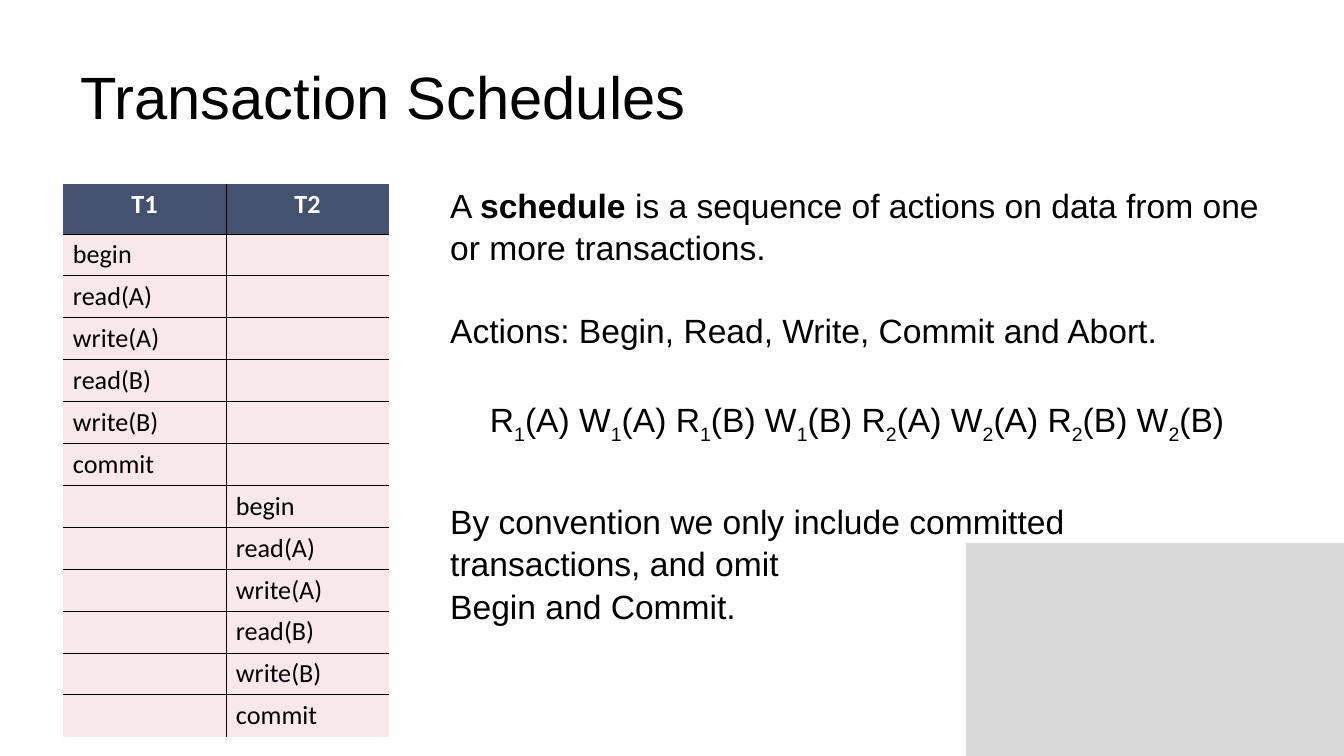
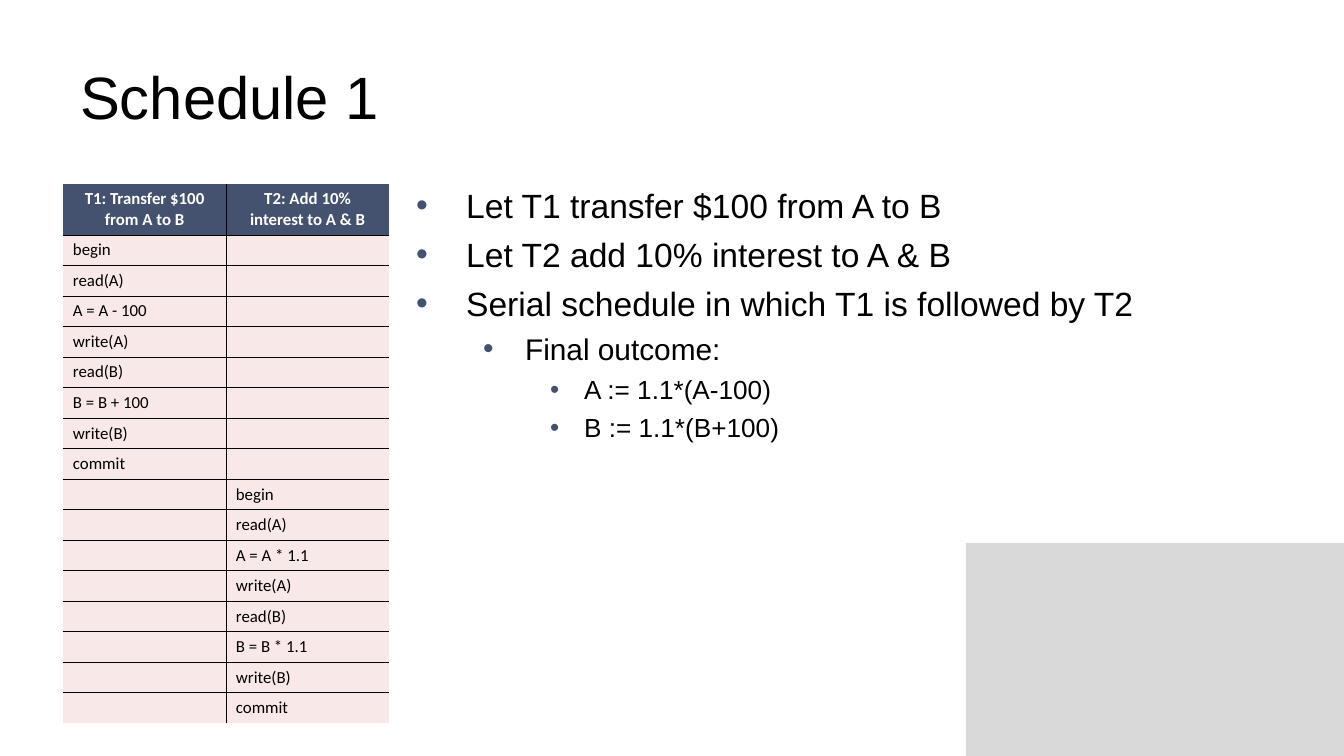
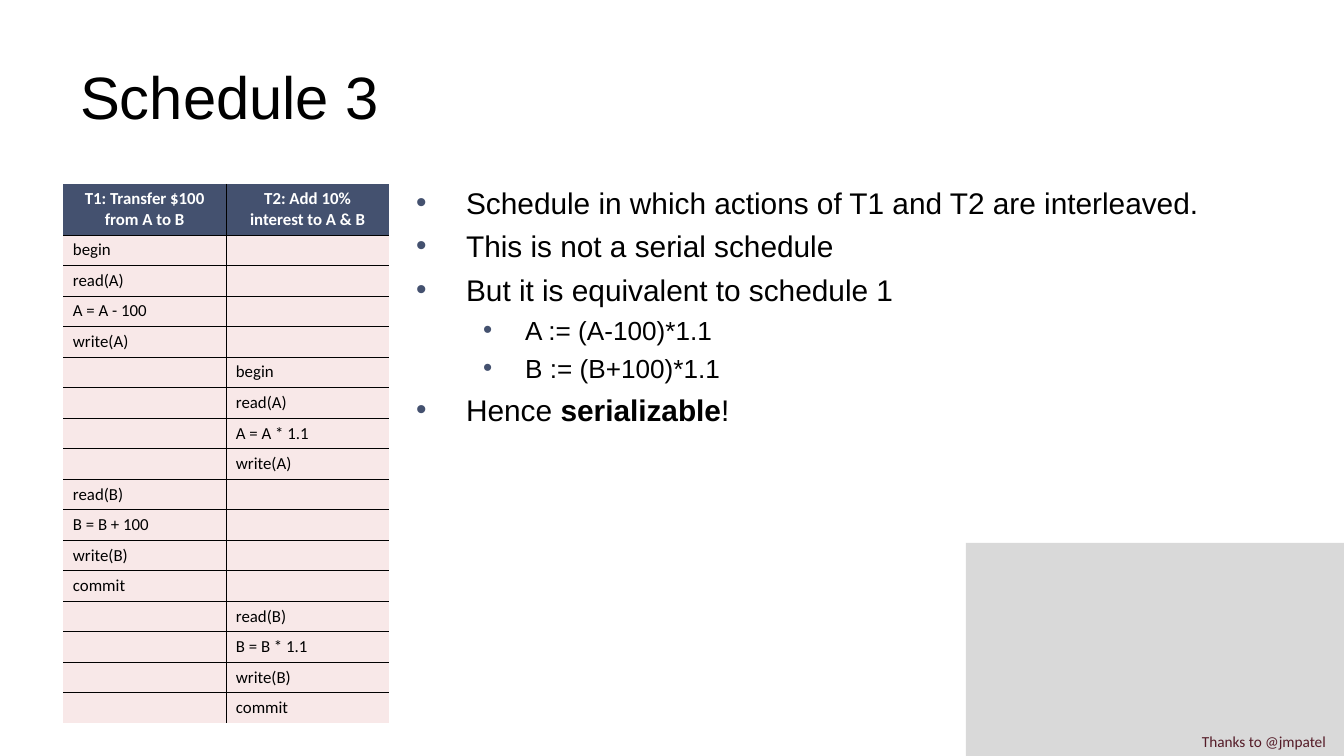
from lxml import etree
from pptx import Presentation
from pptx.dml.color import RGBColor
from pptx.enum.shapes import MSO_SHAPE
from pptx.enum.text import MSO_ANCHOR, PP_ALIGN
from pptx.oxml.ns import qn
from pptx.util import Pt

RECTANGLE = MSO_SHAPE.RECTANGLE
TOP, MIDDLE = MSO_ANCHOR.TOP, MSO_ANCHOR.MIDDLE
LEFT, CENTER = PP_ALIGN.LEFT, PP_ALIGN.CENTER

EMU_PER_PX = 914400 / 134.4
COLORS = {
    "ink": "000000",
    "white": "FFFFFF",
    "navy": "44516F",
    "blush": "F8E8E8",
    "gray": "D9D9D9",
    "maroon": "541B27",
}
BODY_FONT, TABLE_FONT = "Arial", "Calibri"
LINE_SPACING = 1.05
BULLET_INDENTS = [(50, 50), (109, 42), (168, 34)]
BOLD, SUB = "bold", "sub"


def px(length):
    return round(length * EMU_PER_PX)


def color(name):
    return RGBColor.from_string(COLORS[name])


class ScheduleDeck:
    def __init__(self):
        self.deck = Presentation()
        self.deck.slide_width = px(1344)
        self.deck.slide_height = px(756)
        self.page = None

    def new_page(self, title):
        self.page = self.deck.slides.add_slide(self.deck.slide_layouts[6])
        self.corner_panel()
        frame = self.text_box(67, 31, 1210, 126, MIDDLE)
        self.add_spans(frame.paragraphs[0], [title], 32, spacing=LINE_SPACING)

    def corner_panel(self):
        panel = self.page.shapes.add_shape(RECTANGLE, px(966), px(543), px(378), px(213))
        panel.shadow.inherit = False
        panel.fill.solid()
        panel.fill.fore_color.rgb = color("gray")
        panel.line.fill.background()

    def text_box(self, left, top, width, height, anchor=TOP):
        box = self.page.shapes.add_textbox(px(left), px(top), px(width), px(height))
        frame = box.text_frame
        frame.word_wrap = True
        frame.vertical_anchor = anchor
        return frame

    def add_spans(self, para, spans, size, font=BODY_FONT, ink="ink", align=LEFT,
                  before=0, spacing=None):
        para.alignment = align
        para.space_before = Pt(before)
        if spacing:
            para.line_spacing = spacing
        for item in spans:
            text, style = item if isinstance(item, tuple) else (item, None)
            if text == "\n":
                para.add_line_break()
                continue
            span = para.add_run()
            span.text = text
            span.font.name = font
            span.font.size = Pt(size)
            span.font.bold = style == BOLD
            span.font.color.rgb = color(ink)
            if style == SUB:
                span._r.get_or_add_rPr().set("baseline", "-25000")

    def bullet(self, para, level):
        margin, hang = BULLET_INDENTS[level]
        para.level = level
        props = para._p.get_or_add_pPr()
        props.set("marL", str(px(margin)))
        props.set("indent", str(-px(hang)))
        tint = etree.SubElement(props, qn("a:buClr"))
        etree.SubElement(tint, qn("a:srgbClr"), val=COLORS["navy"])
        etree.SubElement(props, qn("a:buFont"), typeface=BODY_FONT)
        etree.SubElement(props, qn("a:buChar"), char="•")

    def paragraphs(self, frame, count):
        return [frame.paragraphs[0]] + [frame.add_paragraph() for _ in range(count - 1)]

    def bullets(self, items, sizes, width):
        frame = self.text_box(403, 176, width, 499)
        for index, (para, (level, spans)) in enumerate(
                zip(self.paragraphs(frame, len(items)), items)):
            size = sizes[level]
            self.bullet(para, level)
            self.add_spans(para, spans, size, before=0.2 * size if index else 0,
                           spacing=LINE_SPACING)

    def prose(self, items, size):
        frame = self.text_box(437, 176, 840, 499)
        for para, (spans, align, before) in zip(self.paragraphs(frame, len(items)), items):
            self.add_spans(para, spans, size, align=align, before=before,
                           spacing=LINE_SPACING)

    def credit(self, text):
        frame = self.text_box(1184, 728, 160, 26, MIDDLE)
        frame.margin_left = frame.margin_right = frame.margin_top = frame.margin_bottom = 0
        self.add_spans(frame.paragraphs[0], [text], 8.2, TABLE_FONT, "maroon", CENTER)

    def borders(self, cell, inner_sides):
        props = cell._tc.get_or_add_tcPr()
        for side in "LRTB":
            line = etree.SubElement(props, qn(f"a:ln{side}"), w=str(Pt(0.5)))
            if side in inner_sides:
                fill = etree.SubElement(line, qn("a:solidFill"))
                etree.SubElement(fill, qn("a:srgbClr"), val=COLORS["ink"])
            else:
                etree.SubElement(line, qn("a:noFill"))

    def schedule(self, headers, blocks, size, height, header_height):
        rows = [headers]
        for column, actions in blocks:
            rows += [[action if column == c else "" for c in range(2)] for action in actions]
        table = self.page.shapes.add_table(
            len(rows), 2, px(63), px(184), px(326), px(height)).table
        table.horz_banding = False
        for column in table.columns:
            column.width = px(163)
        row_height = (height - header_height) / (len(rows) - 1)
        for r, texts in enumerate(rows):
            table.rows[r].height = px(row_height if r else header_height)
            for c, text in enumerate(texts):
                sides = "LR"[1 - c] + ("T" if r else "") + ("B" if r < len(rows) - 1 else "")
                self.action_cell(table.cell(r, c), text, size, sides, r == 0)

    def action_cell(self, cell, text, size, sides, is_header):
        self.borders(cell, sides)
        cell.fill.solid()
        cell.fill.fore_color.rgb = color("navy" if is_header else "blush")
        cell.margin_left = cell.margin_right = px(10)
        cell.margin_top = cell.margin_bottom = px(5)
        para = cell.text_frame.paragraphs[0]
        if is_header:
            self.add_spans(para, [(text, BOLD)], size, TABLE_FONT, "white", CENTER)
        elif text:
            self.add_spans(para, [text], size, TABLE_FONT)
        else:
            etree.SubElement(para._p, qn("a:endParaRPr"), sz=str(size * 100))


def history():
    spans = []
    for transaction in "12":
        for item in "AB":
            for action in "RW":
                gap = " " if spans else ""
                spans += [gap + action, (transaction, SUB), f"({item})"]
    return spans


def steps(change_a="", change_b=""):
    actions = ["begin", "read(A)", change_a, "write(A)",
               "read(B)", change_b, "write(B)", "commit"]
    return [action for action in actions if action]


def main():
    talk = ScheduleDeck()

    talk.new_page("Transaction Schedules")
    talk.prose([
        (["A ", ("schedule", BOLD),
          " is a sequence of actions on data from one or more transactions."], LEFT, 0),
        (["Actions: Begin, Read, Write, Commit and Abort."], LEFT, 21.6),
        (history(), CENTER, 25.2),
        (["By convention we only include committed transactions, and omit ", "\n",
          "Begin and Commit."], LEFT, 28.8),
    ], 18)
    talk.schedule(["T1", "T2"], [(0, steps()), (1, steps())], 14, 553, 50)

    headers = ["T1: Transfer $100 from A to B", "T2: Add 10% interest to A & B"]
    transfer = steps("A = A - 100", "B = B + 100")
    interest = steps("A = A * 1.1", "B = B * 1.1")

    talk.new_page("Schedule 1")
    talk.bullets([
        (0, ["Let T1 transfer $100 from A to B"]),
        (0, ["Let T2 add 10% interest to A & B"]),
        (0, ["Serial schedule in which T1 is followed by T2"]),
        (1, ["Final outcome:"]),
        (2, ["A := 1.1*(A-100)"]),
        (2, ["B := 1.1*(B+100)"]),
    ], [18, 16, 14], 874)
    talk.schedule(headers, [(0, transfer), (1, interest)], 9, 540, 51)

    talk.new_page("Schedule 3")
    talk.bullets([
        (0, ["Schedule in which actions of T1 and T2 are interleaved."]),
        (0, ["This is not a serial schedule"]),
        (0, ["But it is equivalent to schedule 1"]),
        (1, ["A := (A-100)*1.1"]),
        (1, ["B := (B+100)*1.1"]),
        (0, ["Hence ", ("serializable", BOLD), "!"]),
    ], [16, 14], 941)
    talk.credit("Thanks to @jmpatel")
    talk.schedule(headers, [(0, transfer[:4]), (1, interest[:4]),
                            (0, transfer[4:]), (1, interest[4:])], 9, 540, 51)

    talk.deck.save("out.pptx")


if __name__ == "__main__":
    main()
